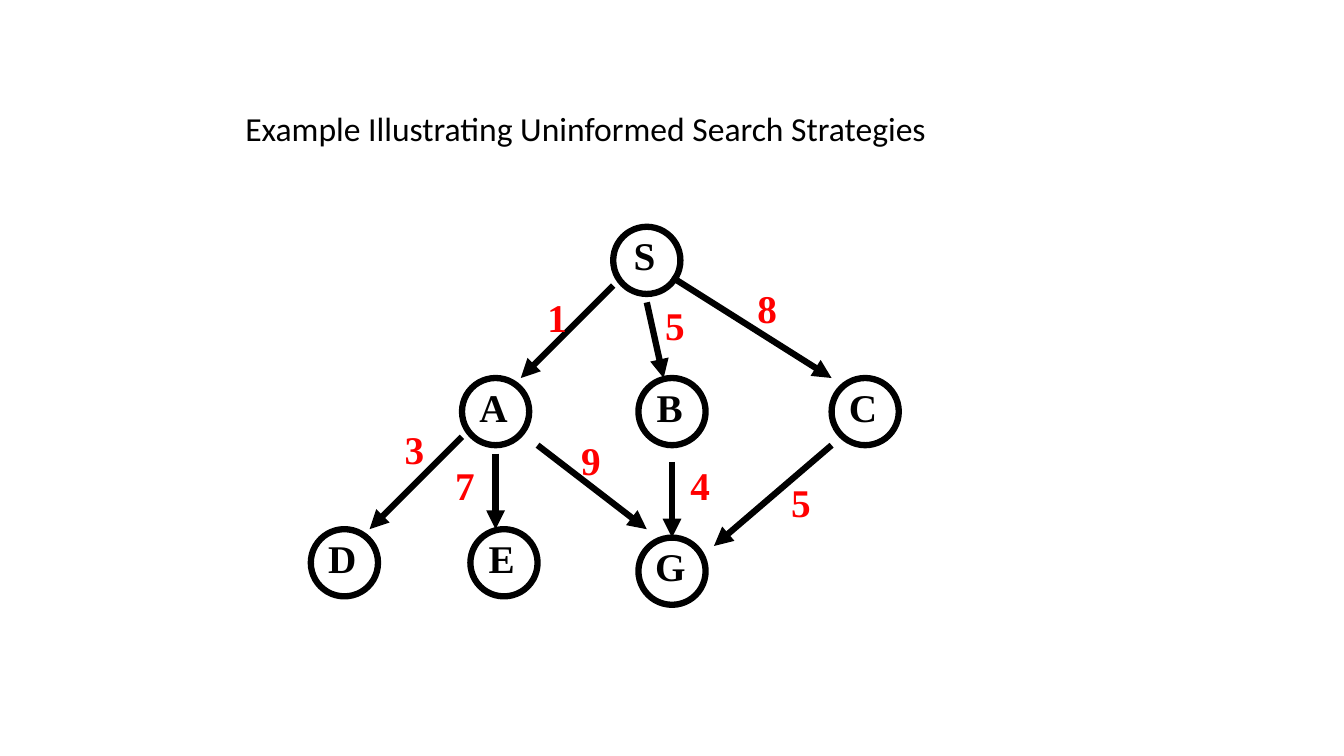
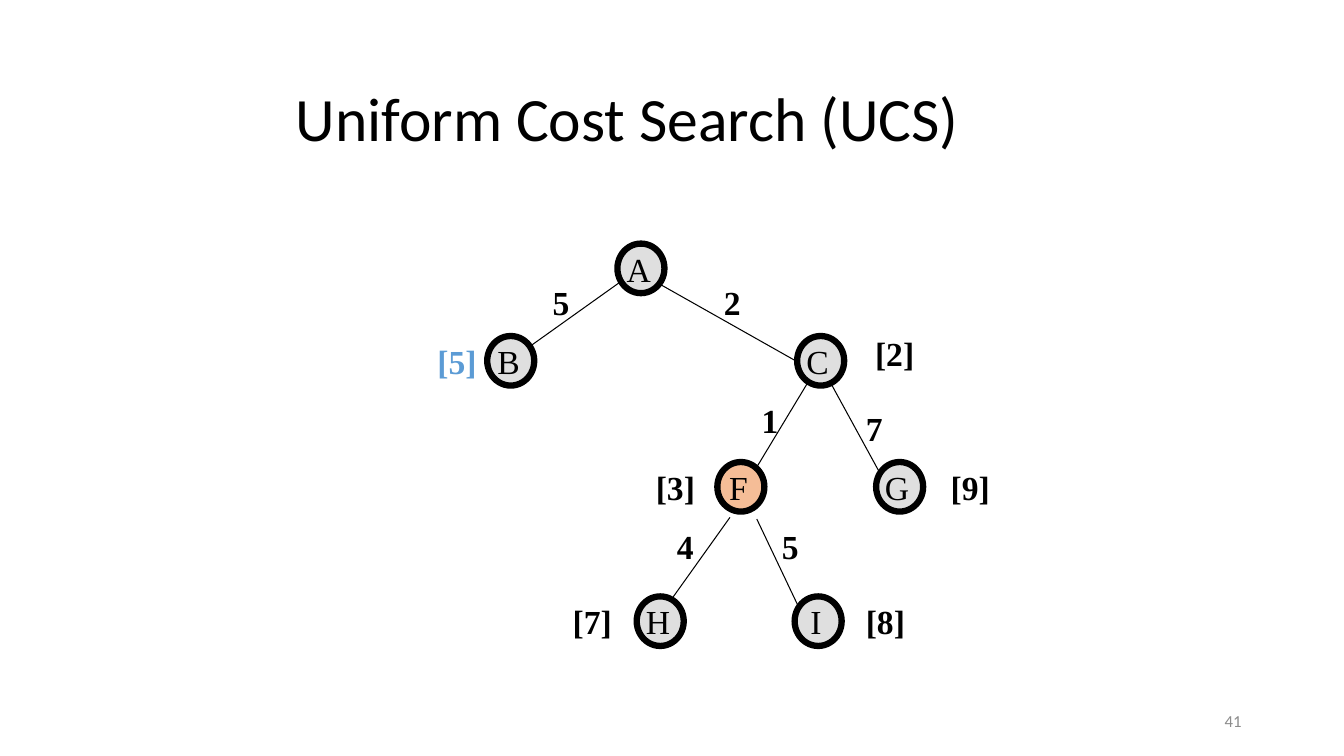
from pptx import Presentation
from pptx.dml.color import RGBColor
from pptx.enum.shapes import MSO_CONNECTOR, MSO_SHAPE
from pptx.enum.text import MSO_ANCHOR, MSO_AUTO_SIZE, PP_ALIGN
from pptx.oxml.ns import qn
from pptx.util import Inches, Pt
from lxml.etree import SubElement

COLS, ROWS = 160, 90
CELLS_PER_INCH = 12
BLACK, RED, BLUE = "000000", "FF0000", "5B9BD5"
GREY, ORANGE, FOOTER = "C0C0C0", "ED7D31", "8C8C8C"
SANS, SERIF = "Calibri", "Times New Roman"
THICK, THIN = 4.5, 0.75
LETTER_SHIFT = -0.24
EM_WIDTHS = {"[": 0.33, "]": 0.33, "I": 0.33, "F": 0.56, "S": 0.56,
             "B": 0.67, "E": 0.67, "A": 0.72, "C": 0.72, "D": 0.72,
             "G": 0.75, "H": 0.72}
DIGIT_WIDTH = 0.5


def grid(*cells):
    """Convert grid cells to slide lengths."""
    return [Inches(c / CELLS_PER_INCH) for c in cells]


def rgb(color):
    """Turn a hex string into a colour."""
    return RGBColor.from_string(color)


def style(p, size, color, font, bold=False):
    """Format every run of a paragraph."""
    for r in p.runs:
        r.font.size, r.font.name, r.font.bold = Pt(size), font, bold
        r.font.color.rgb = rgb(color)


def add_slide(prs, title, size, left, top):
    """Add a slide with a left-aligned title."""
    s = prs.slides.add_slide(prs.slide_layouts[5])
    sp = s.shapes.title
    sp.left, sp.top, sp.width, sp.height = grid(left, top, 102, 15)
    tf = sp.text_frame
    tf.text = title
    tf.auto_size = MSO_AUTO_SIZE.NONE
    tf.vertical_anchor = MSO_ANCHOR.MIDDLE
    p = tf.paragraphs[0]
    p.alignment, p.line_spacing = PP_ALIGN.LEFT, 0.9
    style(p, size, BLACK, SANS)
    return s


def label_size(text, size):
    """Return the columns and rows that a label takes."""
    ems = sum(EM_WIDTHS.get(c, DIGIT_WIDTH) for c in text)
    return (CELLS_PER_INCH * (0.2 + ems * size / 72),
            CELLS_PER_INCH * (0.1 + 1.2 * size / 72))


def add_label(shapes, text, x, y, size, color=BLACK, bold=True):
    """Add a one-line label that fits its text."""
    sp = shapes.add_textbox(*grid(x, y, *label_size(text, size)))
    tf = sp.text_frame
    tf.text = text
    tf.word_wrap = False
    tf.auto_size = MSO_AUTO_SIZE.SHAPE_TO_FIT_TEXT
    style(tf.paragraphs[0], size, color, SERIF, bold)


def add_node(shapes, name, x, y, w, h, size, bold, fill=None):
    """Add a circle, half-transparent if filled, with its letter."""
    sp = shapes.add_shape(MSO_SHAPE.OVAL, *grid(x, y, w, h))
    sp.shadow.inherit = False
    if fill:
        sp.fill.solid()
        sp.fill.fore_color.rgb = rgb(fill)
        clr = sp._element.spPr.find(qn("a:solidFill")).find(qn("a:srgbClr"))
        SubElement(clr, qn("a:alpha"), val="50000")
    else:
        sp.fill.background()
    sp.line.color.rgb, sp.line.width = rgb(BLACK), Pt(THICK)
    letter_x = x + (w - label_size(name, size)[0]) / 2 + LETTER_SHIFT
    add_label(shapes, name, letter_x, y, size, bold=bold)


def add_edge(shapes, ends, width, arrow=False):
    """Add a straight edge, with an arrowhead if wanted."""
    cxn = shapes.add_connector(MSO_CONNECTOR.STRAIGHT, *grid(*ends))
    cxn.line.color.rgb, cxn.line.width = rgb(BLACK), Pt(width)
    spPr = cxn._element.spPr
    if arrow:
        SubElement(spPr.find(qn("a:ln")), qn("a:tailEnd"), type="triangle")
    SubElement(spPr, qn("a:effectLst"))


def add_slide_number(s, number):
    """Add the slide number at the bottom right."""
    tf = s.shapes.add_textbox(*grid(113, 83.4, 36, 4.8)).text_frame
    tf.text = number
    tf.word_wrap = True
    tf.vertical_anchor = MSO_ANCHOR.MIDDLE
    tf.paragraphs[0].alignment = PP_ALIGN.RIGHT
    style(tf.paragraphs[0], 12, FOOTER, SANS)


def build_example(prs):
    """Build the weighted directed graph."""
    s = add_slide(prs, "Example Illustrating Uninformed Search Strategies",
                  24, 28, 8)
    shapes = s.shapes.add_group_shape().shapes
    nodes = [("S", 73, 27), ("C", 99, 45), ("B", 76, 45), ("A", 55, 45),
             ("D", 37, 63), ("G", 76, 64), ("E", 56, 63)]
    edges = [(73, 34, 62, 45), (59, 54, 59, 63), (64, 53, 77, 63),
             (77, 36, 79, 45), (80, 33, 99, 45), (80, 55, 80, 64),
             (99, 53, 85, 65), (55, 52, 44, 63)]
    weights = [("1", 64, 34.3), ("5", 78, 35.3), ("8", 89, 33.3),
               ("9", 68, 51.3), ("4", 81, 54.3), ("5", 93, 56.3),
               ("3", 47, 50), ("7", 53, 54.3)]
    for name, x, y in nodes:
        add_node(shapes, name, x, y, 8, 8, 28, True)
    for ends in edges:
        add_edge(shapes, ends, THICK, arrow=True)
    for text, x, y in weights:
        add_label(shapes, text, x, y, 28, RED)


def build_ucs(prs):
    """Build the uniform cost search tree."""
    s = add_slide(prs, "Uniform Cost Search (UCS)", 44, 34, 7)
    add_slide_number(s, "41")
    nodes = [("A", 73.5, 29, GREY), ("B", 58, 40, GREY),
             ("C", 94.9, 40, GREY), ("G", 104.3, 55, GREY),
             ("F", 85.4, 55, ORANGE), ("I", 94.6, 71, GREY),
             ("H", 75.8, 71, GREY)]
    edges = [(73.8, 33.6, 63, 41.3), (96.2, 45.5, 90.1, 55.6),
             (99, 45.8, 104.8, 56.4), (78.5, 33.8, 94.8, 43),
             (86.9, 61.6, 79.9, 71.4), (90.1, 61.8, 95, 72.1)]
    weights = [("2", 85, 33), ("5", 64.6, 33), ("1", 89.5, 47),
               ("7", 101.9, 48), ("4", 79.4, 62), ("5", 91.9, 62)]
    costs = [("[2]", 103, 39), ("[9]", 112, 55), ("[3]", 76.9, 55),
             ("[7]", 67, 71), ("[8]", 101.9, 71)]
    for name, x, y, fill in nodes:
        add_node(s.shapes, name, x, y, 5.6, 5.9, 24, False, fill)
    for ends in edges:
        add_edge(s.shapes, ends, THIN)
    for text, x, y in weights + costs:
        add_label(s.shapes, text, x, y, 24)
    add_label(s.shapes, "[5]", 50.9, 40, 24, BLUE)


def main():
    """Build and save the presentation."""
    prs = Presentation()
    prs.slide_width, prs.slide_height = grid(COLS, ROWS)
    build_example(prs)
    build_ucs(prs)
    prs.save("out.pptx")


if __name__ == "__main__":
    main()
